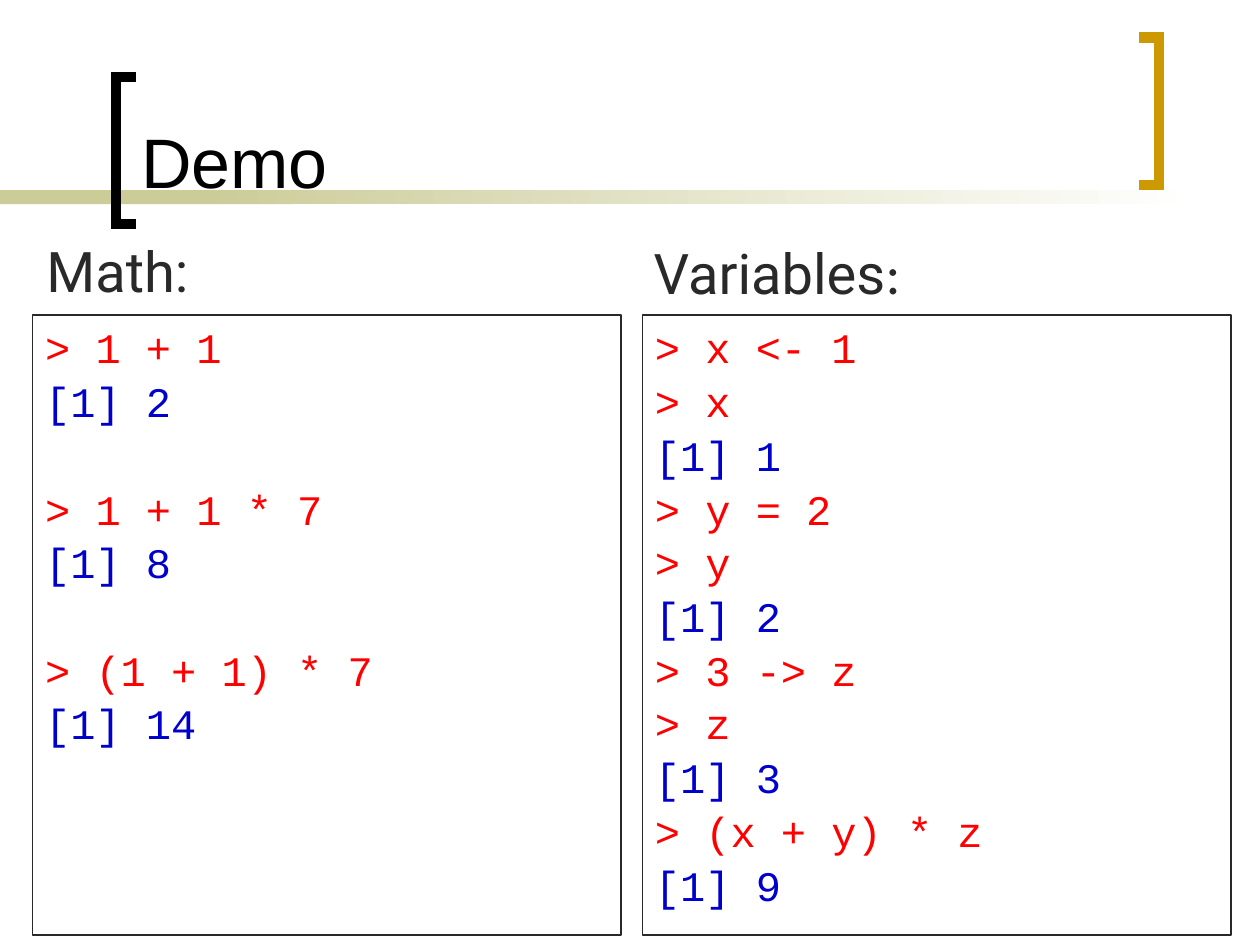
import pptx
import pptx.dml.color
import pptx.enum.shapes
import pptx.enum.text
import pptx.oxml
import pptx.util

Inches, Pt = pptx.util.Inches, pptx.util.Pt
Shape = pptx.enum.shapes.MSO_SHAPE
Anchor = pptx.enum.text.MSO_ANCHOR
Align = pptx.enum.text.PP_ALIGN
NS = "http://schemas.openxmlformats.org/drawingml/2006/main"

TITLE = "Demo"
# Each panel: heading place (left, top, width), heading runs, box left,
# then groups of code lines.
PANELS = [
    ((0.27, 1.83, 2.12), [("Math:", "Roboto")], 0.26,
     [["> 1 + 1", "[1] 2"],
      ["> 1 + 1 * 7", "[1] 8"],
      ["> (1 + 1) * 7", "[1] 14"]]),
    ((5.09, 1.84, 3.56), [("Variables", "Roboto"), (":", "Calibri")], 5.1,
     [["> x <- 1", "> x", "[1] 1", "> y = 2", "> y", "[1] 2",
       "> 3 -> z", "> z", "[1] 3", "> (x + y) * z", "[1] 9"]]),
]
BRACKETS = [  # tip x, back x, top y, colour
    (1.08, 0.92, 0.61, "000000"),
    (9.04, 9.2, 0.3, "CC9900"),
]
BRACKET_H = 1.17
INPUT, OUTPUT, DARK, SAND = "FF0000", "0000CC", "292929", "CCCC99"
LINE_GAP, GROUP_GAP = 4.8, 35.5

FRAME = dict(word_wrap=True, vertical_anchor=Anchor.TOP)
CODE_FRAME = dict(FRAME, margin_top=Inches(0.1), margin_left=Inches(0.1),
                  margin_right=Inches(0.1), margin_bottom=Inches(0.05))
HEAD_FRAME = dict(FRAME, auto_size=pptx.enum.text.MSO_AUTO_SIZE.SHAPE_TO_FIT_TEXT)
TITLE_FRAME = dict(FRAME, vertical_anchor=Anchor.BOTTOM)


def style(item, form):
    for name, value in form.items():
        setattr(item, name, value)


def tint(color, code):
    color.rgb = pptx.dml.color.RGBColor.from_string(code)


def write(para, text, face, size, code):
    run = para.add_run()
    run.text = text
    style(run.font, dict(name=face, size=Pt(size)))
    tint(run.font.color, code)


def block(shapes, *place):
    rect = shapes.add_shape(Shape.RECTANGLE, *map(Inches, place))
    rect.shadow.inherit = False
    return rect


def band(shapes):
    left = block(shapes, 0, 1.51, 2.33, 0.11)
    left.fill.solid()
    tint(left.fill.fore_color, SAND)
    fade = block(shapes, 1.58, 1.51, 7.92, 0.11)
    fade.fill.gradient()
    fade.fill.gradient_angle = 0
    for stop, code in zip(fade.fill.gradient_stops, (SAND, "FFFFFF")):
        tint(stop.color, code)
    for part in (left, fade):
        part.line.fill.background()


def bracket(shapes, tip, back, top, code):
    low = top + BRACKET_H
    path = shapes.build_freeform(Inches(tip), Inches(top))
    path.add_line_segments([(Inches(x), Inches(y)) for x, y in
                            ((back, top), (back, low), (tip, low))], close=False)
    form = path.convert_to_shape()
    form.shadow.inherit = False
    form.fill.background()
    tint(form.line.color, code)
    form.line.width = Pt(6)
    form.line._get_or_add_ln().append(
        pptx.oxml.parse_xml(f'<a:miter xmlns:a="{NS}" lim="800000"/>'))


def code_box(shapes, left, groups):
    rect = block(shapes, left, 2.5, 4.67, 4.92)
    rect.fill.solid()
    tint(rect.fill.fore_color, "FFFFFF")
    tint(rect.line.color, DARK)
    rect.line.width = Pt(0.75)
    frame = rect.text_frame
    style(frame, CODE_FRAME)
    para = frame.paragraphs[0]
    for g, group in enumerate(groups):
        for i, text in enumerate(group):
            if g or i:
                para = frame.add_paragraph()
                para.space_before = Pt(LINE_GAP if i else GROUP_GAP)
            style(para, dict(alignment=Align.LEFT, line_spacing=0.9))
            write(para, text, "Courier New", 24,
                  INPUT if text.startswith(">") else OUTPUT)


def heading(shapes, place, runs):
    box = shapes.add_textbox(*map(Inches, (*place, 0.63)))
    style(box.text_frame, HEAD_FRAME)
    for text, face in runs:
        write(box.text_frame.paragraphs[0], text, face, 32, DARK)


def main():
    deck = pptx.Presentation()
    style(deck, dict(slide_width=Inches(10), slide_height=Inches(7.5)))
    slide = deck.slides.add_slide(deck.slide_layouts[5])
    shapes = slide.shapes
    band(shapes)
    for item in BRACKETS:
        bracket(shapes, *item)

    title = shapes.title
    style(title, dict(left=Inches(1.02), top=Inches(0.11),
                      width=Inches(7.83), height=Inches(1.55)))
    style(title.text_frame, TITLE_FRAME)
    para = title.text_frame.paragraphs[0]
    para.alignment = Align.LEFT
    write(para, TITLE, "Arial", 40, "000000")
    shapes._spTree.append(title._element)  # in front of the band

    for place, runs, left, groups in PANELS:
        code_box(shapes, left, groups)
        heading(shapes, place, runs)
    deck.save("out.pptx")


if __name__ == "__main__":
    main()
